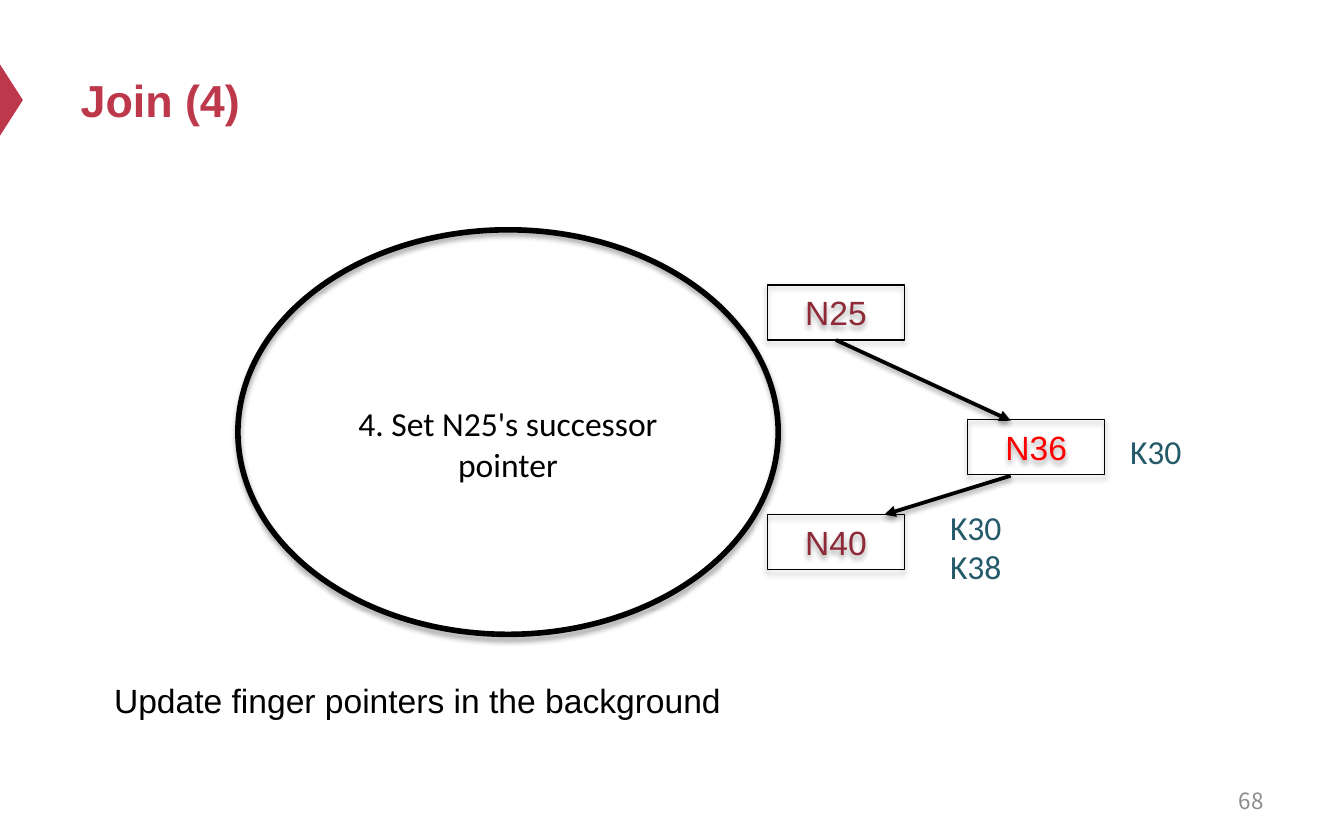
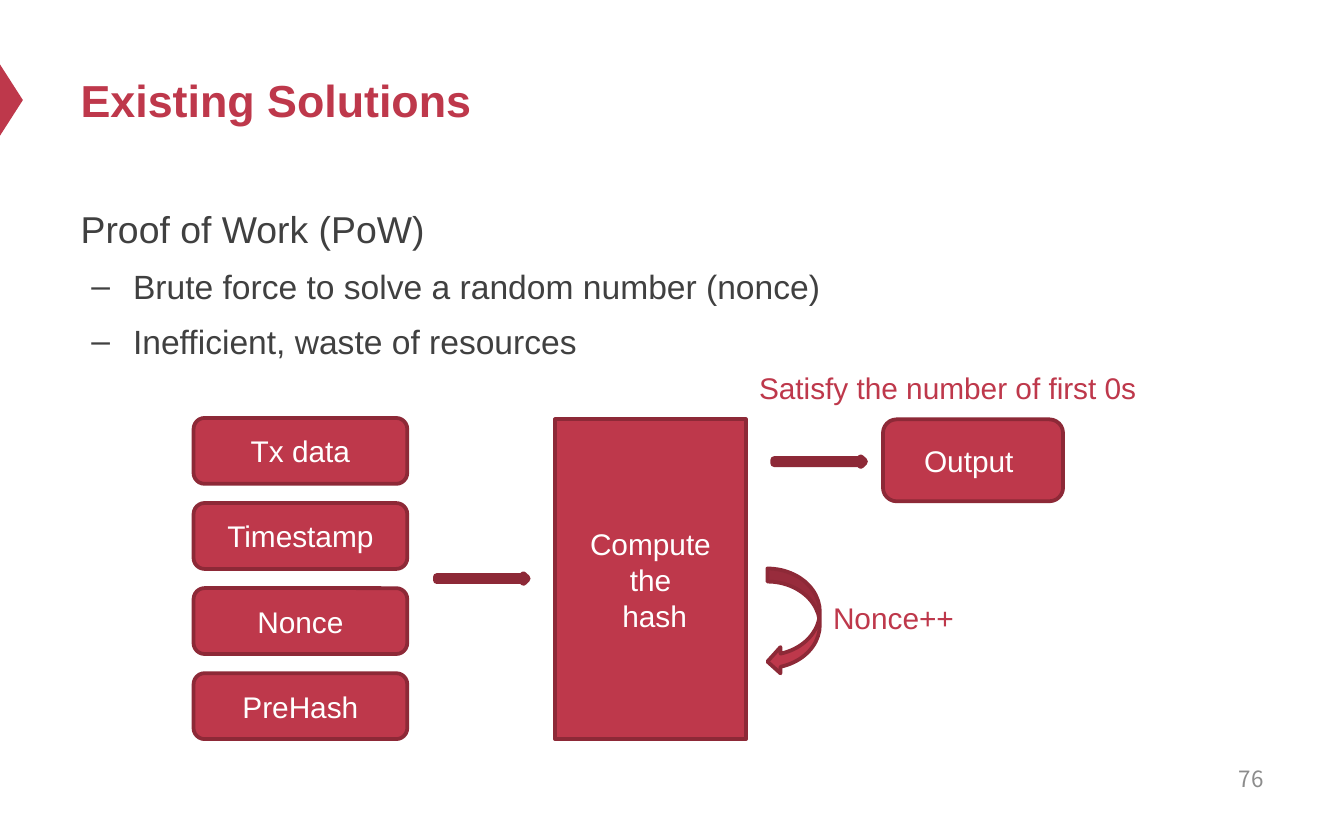
import pptx
import pptx.util
import pptx.dml.color
import pptx.enum.shapes
import pptx.enum.text
import pptx.oxml.ns
from lxml import etree

SHAPE = pptx.enum.shapes.MSO_SHAPE
ALIGN = pptx.enum.text.PP_ALIGN
ANCHOR = pptx.enum.text.MSO_ANCHOR
qn = pptx.oxml.ns.qn

COLUMNS, ROWS = 100, 62.5
CELL = pptx.util.Inches(0.1)

RED, DARK_RED, WINE = "BE384B", "8D2937", "8E2A38"
BLACK, WHITE, GRAY, CHARCOAL = "000000", "FFFFFF", "8C8C8C", "404040"
TEAL, ALERT = "255A6A", "FF0000"


def rgb(value):
    return pptx.dml.color.RGBColor.from_string(value)


def cells(*lengths):
    """Turn grid columns or rows into slide lengths."""
    return [round(length * CELL) for length in lengths]


def set_effects(shape, alpha=None, distance=1.8):
    """Replace the theme shadow by a soft one below, or by none."""
    effects = etree.SubElement(shape.element.spPr, qn("a:effectLst"))
    if alpha:
        shadow = etree.SubElement(
            effects, qn("a:outerShdw"), blurRad=str(pptx.util.Pt(3.1)),
            dist=str(pptx.util.Pt(distance)), dir="5400000", rotWithShape="0")
        color = etree.SubElement(shadow, qn("a:srgbClr"), val=BLACK)
        etree.SubElement(color, qn("a:alpha"), val=str(alpha * 1000))


class Deck:
    font = "Arial"

    def __init__(self):
        self.prs = pptx.Presentation()
        self.prs.slide_width, self.prs.slide_height = cells(COLUMNS, ROWS)
        self.s = None

    def slide(self, layout, title, number, number_top):
        self.s = self.prs.slides.add_slide(self.prs.slide_layouts[layout])
        marker = self.shape(SHAPE.ISOSCELES_TRIANGLE, (-1.8, 6.6, 5.3, 1.7), fill=RED)
        marker.rotation = 90
        sp = self.s.shapes.title
        self.place(sp, (5, 2.5, 90, 9.8))
        self.set_text(sp, title, 24, RED, anchor=ANCHOR.MIDDLE, bold=True)
        self.text((71.7, number_top, 23.3, 3.3), number, 12, GRAY,
                  font="Noto Sans CJK SC", align=ALIGN.RIGHT, anchor=ANCHOR.MIDDLE)

    def place(self, sp, box):
        sp.left, sp.top, sp.width, sp.height = cells(*box)

    def set_text(self, sp, text, size, color, font=None, align=ALIGN.LEFT,
                 anchor=ANCHOR.TOP, bold=False):
        tf = sp.text_frame
        tf.text = text
        tf.word_wrap = True
        tf.auto_size = pptx.enum.text.MSO_AUTO_SIZE.NONE
        tf.vertical_anchor = anchor
        for p in tf.paragraphs:
            p.alignment = align
            for r in p.runs:
                r.font.name = font or self.font
                r.font.size = pptx.util.Pt(size)
                r.font.bold = bold
                r.font.color.rgb = rgb(color)

    def text(self, box, text, size, color, **style):
        sp = self.s.shapes.add_textbox(*cells(*box))
        self.set_text(sp, text, size, color, **style)

    def shape(self, kind, box, text="", fill=None, line=None, width=1,
              size=16, color=WHITE, shadow=None):
        sp = self.s.shapes.add_shape(kind, *cells(*box))
        if fill:
            sp.fill.solid()
            sp.fill.fore_color.rgb = rgb(fill)
        else:
            sp.fill.background()
        if line:
            sp.line.color.rgb = rgb(line)
            sp.line.width = pptx.util.Pt(width)
        else:
            sp.line.fill.background()
        set_effects(sp, shadow)
        if text:
            self.set_text(sp, text, size, color, align=ALIGN.CENTER, anchor=ANCHOR.MIDDLE)
        return sp

    def red_shape(self, kind, box, text="", width=2):
        self.shape(kind, box, text, fill=RED, line=DARK_RED, width=width)

    def node(self, left, top, name, color):
        self.shape(SHAPE.RECTANGLE, (left, top, 10.2, 4.1), name, line=BLACK,
                   width=0.75, size=18, color=color, shadow=35)

    def arrow(self, *ends):
        line = self.s.shapes.add_connector(
            pptx.enum.shapes.MSO_CONNECTOR.STRAIGHT, *cells(*ends))
        line.line.color.rgb = rgb(BLACK)
        line.line.width = pptx.util.Pt(2)
        outline = line.element.spPr.find(qn("a:ln"))
        etree.SubElement(outline, qn("a:tailEnd"), type="triangle")
        set_effects(line, alpha=38, distance=1.6)

    def outline(self, box, heading, points):
        """Fill the body placeholder with a heading and dashed points."""
        sp = self.s.placeholders[1]
        self.place(sp, box)
        self.set_text(sp, "\n".join([heading, *points]), 18, CHARCOAL)
        head, *rest = sp.text_frame.paragraphs
        head.space_before = pptx.util.Pt(12)
        head.runs[0].font.size = pptx.util.Pt(20)
        self.bullet(head, 0, 0)
        for p in rest:
            p.level = 1
            self.bullet(p, 3.9, -3.1, "–")

    def bullet(self, p, margin, indent, char=None):
        p.line_spacing = 1.2
        props = p._p.get_or_add_pPr()
        for key, length in zip(("marL", "indent"), cells(margin, indent)):
            props.set(key, str(length))
        if char:
            etree.SubElement(props, qn("a:buChar"), char=char)
        else:
            etree.SubElement(props, qn("a:buNone"))


def join_slide(deck):
    deck.slide(5, "Join (4)", "68", 57.9)
    deck.shape(SHAPE.OVAL, (17.7, 17.1, 40.2, 30.1), line=BLACK, width=3, shadow=35)
    deck.text((24.8, 29.5, 26, 7.1), "4. Set N25's successor pointer", 18, BLACK,
              font="Calibri", align=ALIGN.CENTER)
    for left, top, name, color in ((72, 31.2, "N36", ALERT),
                                   (57.1, 21.2, "N25", WINE),
                                   (57.1, 38.3, "N40", WINE)):
        deck.node(left, top, name, color)
    deck.arrow(62.2, 25.3, 75.2, 31.3)
    deck.arrow(75.2, 35.4, 65.8, 38.3)
    for left, top, key in ((69.7, 37.2, "K30"), (69.7, 40.1, "K38"), (83.1, 31.6, "K30")):
        deck.text((left, top, 7.9, 4), key, 18, TEAL, font="Calibri")
    deck.text((7.5, 50.1, 79.5, 4), "Update finger pointers in the background", 18, BLACK)


def solutions_slide(deck):
    deck.slide(1, "Existing Solutions", "76", 56.3)
    deck.outline((5, 14.2, 90, 45.4), "Proof of Work (PoW)",
                 ["Brute force to solve a random number (nonce)",
                  "Inefficient, waste of resources"])
    for i, name in enumerate(("Tx data", "Timestamp", "Nonce", "PreHash")):
        deck.red_shape(SHAPE.ROUNDED_RECTANGLE, (14.4, 31.1 + 6.33 * i, 15.9, 4.9), name)
    deck.red_shape(SHAPE.RECTANGLE, (41.3, 31.2, 14.2, 23.8), "Compute\nthe\n hash")
    deck.red_shape(SHAPE.ROUNDED_RECTANGLE, (65.7, 31.2, 13.4, 6.1), "Output ")
    deck.red_shape(SHAPE.CURVED_LEFT_ARROW, (57.1, 42.3, 3.9, 7.9))
    for left, top in ((32.5, 42.8), (57.6, 34.1)):
        deck.red_shape(SHAPE.RIGHT_ARROW, (left, top, 6.7, 0.5), width=4)
    for left, top, label in ((55.5, 27, "Satisfy the number of first 0s"),
                             (61, 44.1, "Nonce++")):
        deck.text((left, top, 36.3, 3.7), label, 16, RED)


def main():
    deck = Deck()
    join_slide(deck)
    solutions_slide(deck)
    deck.prs.save("out.pptx")


if __name__ == "__main__":
    main()
